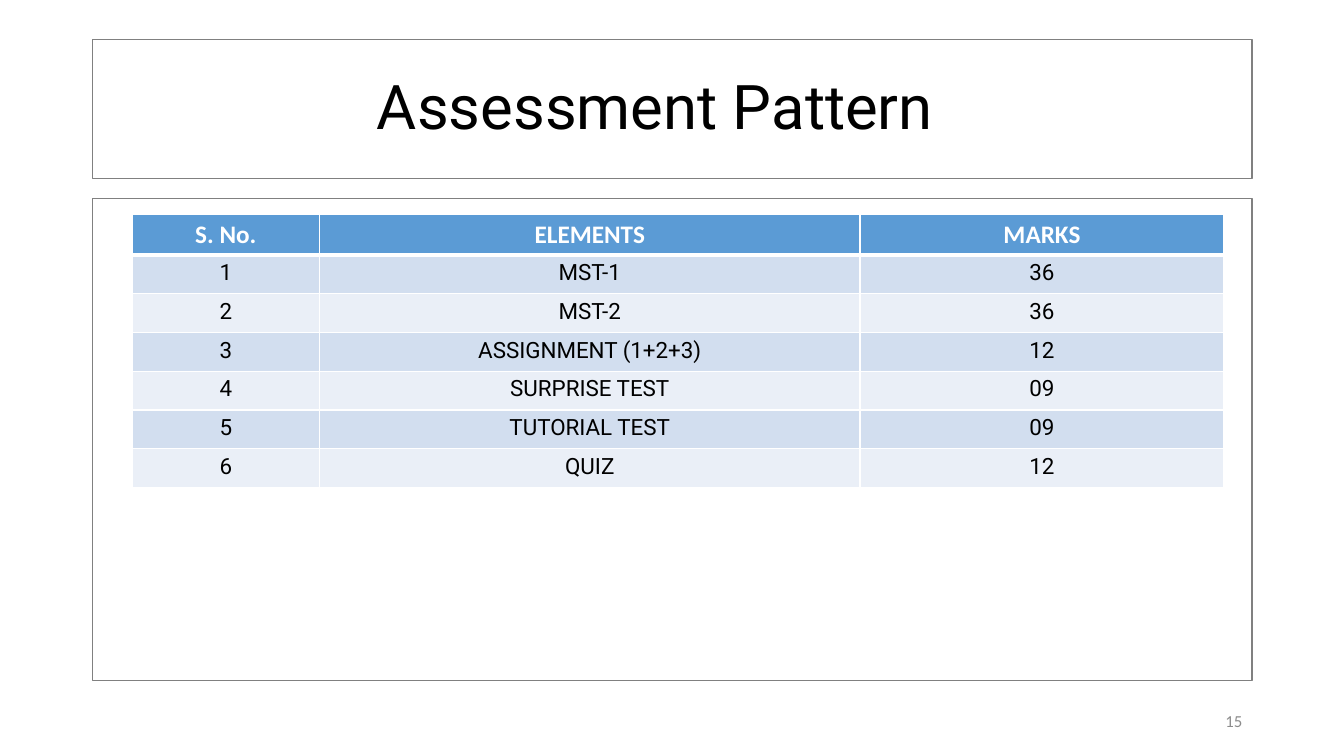
from dataclasses import dataclass

from pptx import Presentation
from pptx.dml.color import RGBColor
from pptx.enum.shapes import MSO_SHAPE
from pptx.enum.text import MSO_ANCHOR as ANCHOR, PP_ALIGN as ALIGN
from pptx.oxml import parse_xml
from pptx.oxml.ns import nsdecls
from pptx.util import Inches, Pt


@dataclass(frozen=True)
class Theme:
    heading_font: str = "Roboto"
    label_font: str = "Calibri"
    black: str = "000000"
    white: str = "FFFFFF"
    header: str = "5B9BD5"
    bands: tuple = ("D2DEEF", "EAEFF7")
    frame: str = "808080"
    number: str = "8C8C8C"
    title_size: int = 44
    header_size: int = 18
    body_size: int = 16
    number_size: int = 12


theme = Theme()


def add_run(tf, text, font, size, color, align, bold=False):
    p = tf.paragraphs[0]
    p.alignment = align
    r = p.add_run()
    r.text = text
    r.font.name = font
    r.font.size = Pt(size)
    r.font.bold = bold
    r.font.color.rgb = RGBColor.from_string(color)
    return p


def set_borders(cell, widths):
    tc_pr = cell._tc.get_or_add_tcPr()
    for i, (side, width) in enumerate(widths.items()):
        tc_pr.insert(i, parse_xml(
            f'<a:ln{side} {nsdecls("a")} w="{Pt(width)}"><a:solidFill>'
            f'<a:srgbClr val="{theme.white}"/></a:solidFill></a:ln{side}>'))


prs = Presentation()
prs.slide_width, prs.slide_height = Inches(13.33), Inches(7.5)
s = prs.slides.add_slide(prs.slide_layouts[6])

# Title, set slightly left of centre by the wider right margin
sp = s.shapes.add_textbox(Inches(0.92), Inches(0.39), Inches(11.5), Inches(1.4))
tf = sp.text_frame
tf.word_wrap = True
tf.vertical_anchor = ANCHOR.MIDDLE
tf.margin_right = Inches(0.44)
p = add_run(tf, "Assessment Pattern", theme.heading_font, theme.title_size,
            theme.black, ALIGN.CENTER)
p.line_spacing = 0.9

# Assessment table
rows = [
    ("S. No.", "ELEMENTS", "MARKS"),
    ("1", "MST-1", "36"),
    ("2", "MST-2", "36"),
    ("3", "ASSIGNMENT (1+2+3)", "12"),
    ("4", "SURPRISE TEST", "09"),
    ("5", "TUTORIAL TEST", "09"),
    ("6", "QUIZ", "12"),
]
col_widths = (1.86, 5.36, 3.61)
table = s.shapes.add_table(len(rows), len(col_widths), Inches(1.31), Inches(2.13),
                           Inches(sum(col_widths)), Inches(2.69)).table
for col, width in zip(table.columns, col_widths):
    col.width = Inches(width)
for i, row in enumerate(rows):
    is_header = i == 0
    fill = theme.header if is_header else theme.bands[(i - 1) % 2]
    font = theme.label_font if is_header else theme.heading_font
    size = theme.header_size if is_header else theme.body_size
    color = theme.white if is_header else theme.black
    for j, text in enumerate(row):
        cell = table.cell(i, j)
        cell.fill.solid()
        cell.fill.fore_color.rgb = RGBColor.from_string(fill)
        set_borders(cell, {"L": 1, "R": 1, "T": 3 if i == 1 else 1,
                           "B": 3 if is_header else 1})
        add_run(cell.text_frame, text, font, size, color, ALIGN.CENTER, is_header)

# Slide number
sp = s.shapes.add_textbox(Inches(9.42), Inches(6.95), Inches(3), Inches(0.4))
tf = sp.text_frame
tf.word_wrap = True
tf.vertical_anchor = ANCHOR.MIDDLE
add_run(tf, "15", theme.label_font, theme.number_size, theme.number, ALIGN.RIGHT)

# Frames around the table and the title
for top, height in ((1.97, 4.78), (0.39, 1.38)):
    sp = s.shapes.add_shape(MSO_SHAPE.RECTANGLE, Inches(0.92), Inches(top),
                            Inches(11.5), Inches(height))
    sp.shadow.inherit = False
    sp.fill.background()
    sp.line.color.rgb = RGBColor.from_string(theme.frame)
    sp.line.width = Pt(1)

prs.save("out.pptx")
